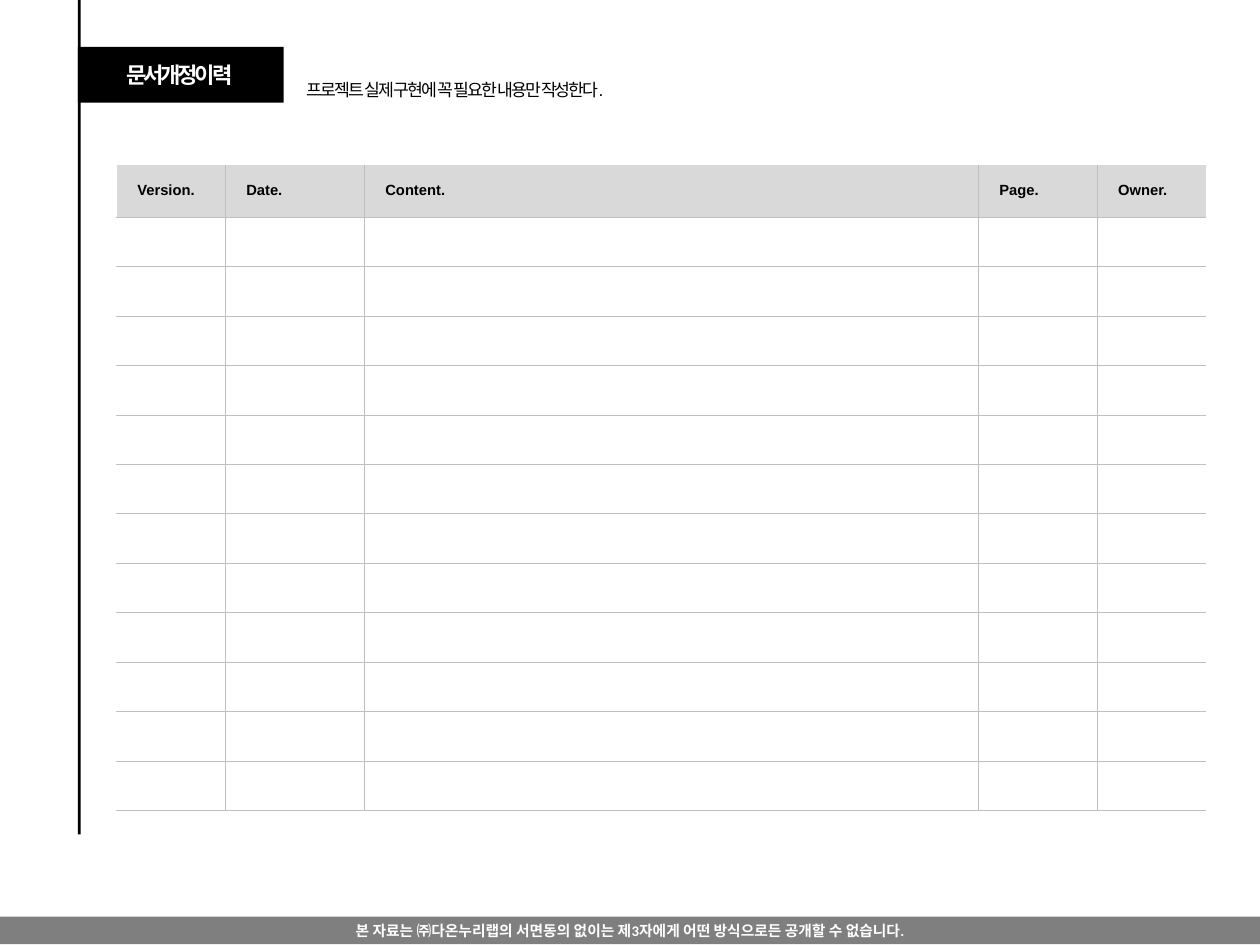
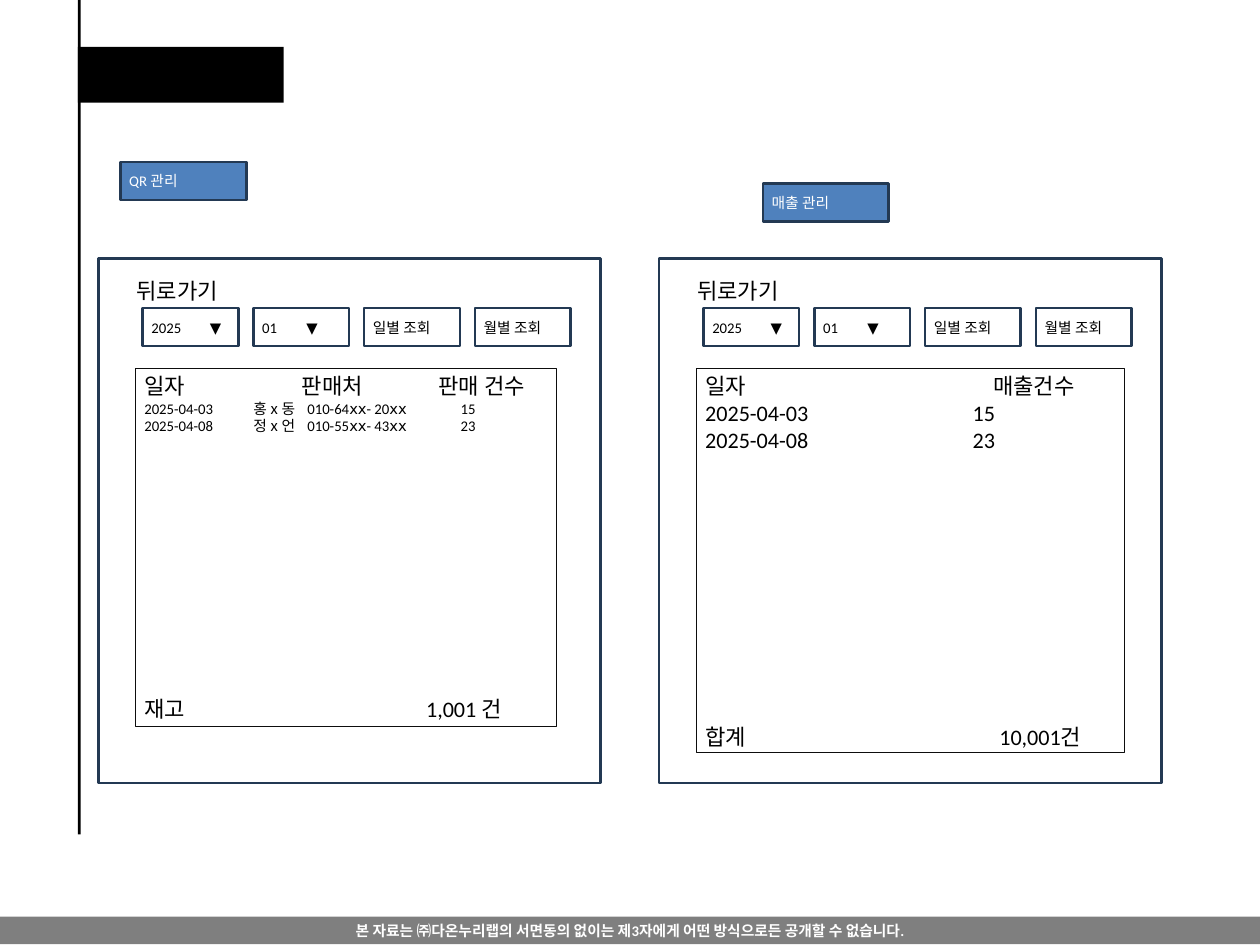
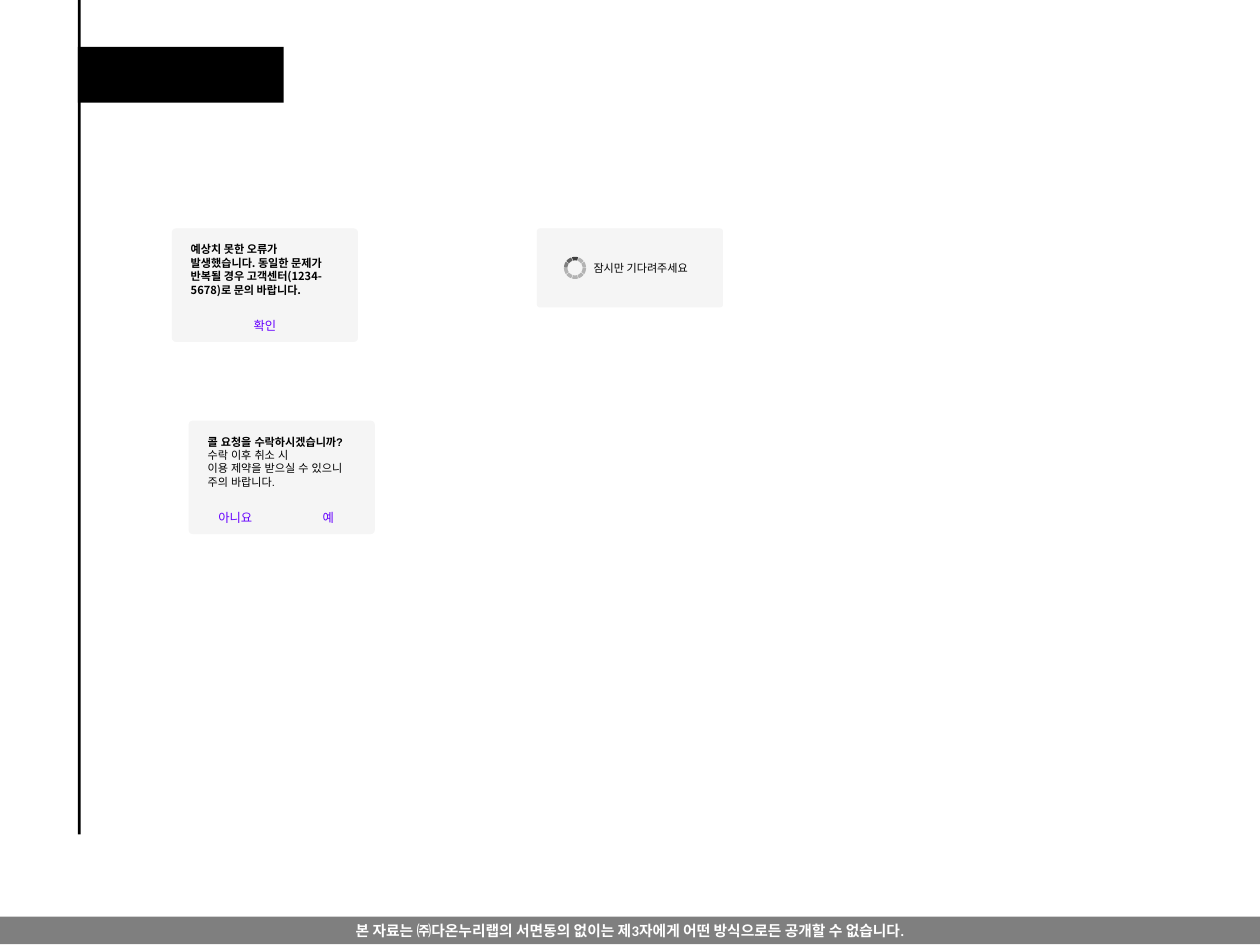
from dataclasses import dataclass
from math import cos, radians, sin

from lxml import etree
from pptx import Presentation
from pptx.dml.color import RGBColor
from pptx.enum.shapes import MSO_SHAPE
from pptx.enum.text import MSO_ANCHOR, MSO_AUTO_SIZE, PP_ALIGN
from pptx.oxml.ns import qn
from pptx.util import Inches, Pt

RECT, ROUNDED = MSO_SHAPE.RECTANGLE, MSO_SHAPE.ROUNDED_RECTANGLE
TOP, MIDDLE, BOTTOM = MSO_ANCHOR.TOP, MSO_ANCHOR.MIDDLE, MSO_ANCHOR.BOTTOM
LEFT, CENTER = PP_ALIGN.LEFT, PP_ALIGN.CENTER
NO_AUTOFIT = MSO_AUTO_SIZE.NONE
TITLE_ONLY, BLANK = 5, 6
PLAIN_INSETS = (0.1, 0.05, 0.1, 0.05)


@dataclass(frozen=True)
class Theme:
    black: str = "000000"
    white: str = "FFFFFF"
    blue: str = "4F81BD"
    navy: str = "233953"
    ink: str = "0D0D0D"
    header: str = "D9D9D9"
    rule: str = "BFBFBF"
    dialog: str = "F4F4F4"
    action: str = "6600FF"
    spinner: tuple = ("404040", "606060", "808080") + ("B3B3B3",) * 7
    sans: str = "Arial"
    screen: str = "Calibri"
    korean: str = "Noto Sans CJK KR"
    button: str = "Cabin"
    large: float = 18
    lead: float = 14
    normal: float = 12
    choice: float = 10
    small: float = 9


THEME = Theme()
SLIDE_W, SLIDE_H = 14.22, 10.67


# Text and shape helpers
def add_span(para, text, size, face, color=THEME.black, bold=False, spacing=0):
    span = para.add_run()
    span.text = text
    font = span.font
    font.size, font.name, font.bold = Pt(size), face, bold
    font.color.rgb = RGBColor.from_string(color)
    properties = span._r.get_or_add_rPr()
    etree.SubElement(properties, qn("a:ea")).set("typeface", face)
    if spacing:
        properties.set("spc", str(round(spacing * 100)))


def set_tabs(para, stops):
    tabs = etree.SubElement(para._p.get_or_add_pPr(), qn("a:tabLst"))
    for stop in stops:
        etree.SubElement(tabs, qn("a:tab"), pos=str(Inches(stop)), algn="l")


def prepare_frame(shape, anchor=MIDDLE, insets=PLAIN_INSETS, align=LEFT):
    frame = shape.text_frame
    frame.word_wrap = True
    frame.auto_size = NO_AUTOFIT
    frame.vertical_anchor = anchor
    (frame.margin_left, frame.margin_top,
     frame.margin_right, frame.margin_bottom) = map(Inches, insets)
    frame.paragraphs[0].alignment = align
    return frame


def set_fill(fill, color, opacity=None):
    if color is None:
        fill.background()
        return
    fill.solid()
    fill.fore_color.rgb = RGBColor.from_string(color)
    if opacity:
        value = next(fill._xPr.iter(qn("a:srgbClr")))
        etree.SubElement(value, qn("a:alpha")).set("val", str(opacity * 1000))


def add_panel(page, box, fill=None, line=None, weight=2, kind=RECT, opacity=None):
    shape = page.shapes.add_shape(kind, *map(Inches, box))
    shape.shadow.inherit = False
    set_fill(shape.fill, fill, opacity)
    if line:
        shape.line.color.rgb = RGBColor.from_string(line)
        shape.line.width = Pt(weight)
    else:
        shape.line.fill.background()
    return shape


def add_label(page, box, text, size, face, color=THEME.black, align=LEFT):
    label = page.shapes.add_textbox(*map(Inches, box))
    para = prepare_frame(label, align=align).paragraphs[0]
    add_span(para, text, size, face, color)


def place_shared_frame(deck, page):
    """Draw the rail, title block and footer once and hand them to the master."""
    footer = add_panel(page, (0, 10.35, SLIDE_W, 0.31), THEME.black, opacity=50)
    notice = prepare_frame(footer, align=CENTER).paragraphs[0]
    add_span(notice, "본 자료는 ㈜다온누리랩의 서면동의 없이는 제3자에게 어떤 방식으로든 공개할 수 없습니다.",
             THEME.normal, THEME.screen, THEME.white, bold=True)
    rail = add_panel(page, (0.88, 0, 0.03, 9.42), THEME.black)
    title_block = add_panel(page, (0.88, 0.53, 2.32, 0.63), THEME.black)
    for number, shape in enumerate((footer, rail, title_block), 101):
        shape.element.xpath(".//p:cNvPr")[0].set("id", str(number))
        deck.slide_master.shapes.element.append(shape.element)


# Revision history
def place_heading(page, title, lead):
    heading = page.shapes.title
    heading.left, heading.top, heading.width, heading.height = map(
        Inches, (0.86, 0.64, 2.33, 0.4))
    para = prepare_frame(heading, align=CENTER).paragraphs[0]
    add_span(para, title, THEME.large, THEME.sans, THEME.white, True, -2.6)

    box = page.shapes.add_textbox(*map(Inches, (3.36, 0.84, 7.67, 0.34)))
    para = prepare_frame(box).paragraphs[0]
    add_span(para, lead, THEME.lead, THEME.korean, spacing=-1.6)
    add_span(para, ".", THEME.lead, THEME.sans)


def set_borders(cell, borders):
    properties = cell._tc.get_or_add_tcPr()
    for side in ("L", "R", "T", "B"):
        color, weight = borders.get(side, (None, 0))
        line = etree.SubElement(properties, qn(f"a:ln{side}"), w=str(Pt(weight)))
        if color:
            solid = etree.SubElement(line, qn("a:solidFill"))
            etree.SubElement(solid, qn("a:srgbClr")).set("val", color)
        else:
            etree.SubElement(line, qn("a:noFill"))


def place_history_table(page, box, columns, row_count):
    left, top, width, height = box
    header_height = 0.59
    row_height = (height - header_height) / row_count
    table = page.shapes.add_table(row_count + 1, len(columns),
                                  *map(Inches, box)).table
    table.horz_banding = table.first_row = False
    thin = (THEME.rule, 0.25)
    for r, row in enumerate(table.rows):
        row.height = Inches(row_height if r else header_height)
        for c, (name, column_width) in enumerate(columns):
            table.columns[c].width = Inches(column_width)
            cell = table.cell(r, c)
            borders = {"L": thin if c else (THEME.white, 1), "B": thin}
            if c < len(columns) - 1:
                borders["R"] = thin
            if r:
                borders["T"] = thin
            set_borders(cell, borders)
            set_fill(cell.fill, None if r else THEME.header)
            if r == 0:
                cell.vertical_anchor = MIDDLE
                cell.margin_left = Inches(0.24)
                add_span(cell.text_frame.paragraphs[0], name,
                         THEME.normal, THEME.sans, bold=True)


# Sales screens
def place_button(page, box, text, fill=None, color=THEME.black, tab=None):
    button = add_panel(page, box, fill, THEME.navy)
    para = prepare_frame(button).paragraphs[0]
    if tab:
        set_tabs(para, [tab])
    add_span(para, text, THEME.normal, THEME.screen, color)


def place_records(page, box, records, total_gap):
    """Each record is (text, size, tab stops); the last one is the total."""
    frame = prepare_frame(add_panel(page, box, None, THEME.ink, 0.75), TOP)
    for index, (text, size, stops) in enumerate(records):
        para = frame.add_paragraph() if index else frame.paragraphs[0]
        para.alignment = LEFT
        set_tabs(para, stops)
        if index == len(records) - 1:
            para.space_before = Pt(total_gap)
        add_span(para, text, size, THEME.screen)


def place_screen(page, box, list_size, records, total_gap):
    left, top = box[:2]
    add_panel(page, box, None, THEME.navy)
    add_label(page, (left + 0.33, top + 0.16, 1.21, 0.4), "뒤로가기",
              THEME.large, THEME.screen)
    filters = (("2025\t▼", 0.66), ("01\t▼", 0.5), ("일별 조회", None), ("월별 조회", None))
    for index, (text, tab) in enumerate(filters):
        place_button(page, (left + 0.5 + 1.25 * index, top + 0.56, 1.08, 0.43),
                     text, tab=tab)
    place_records(page, (left + 0.42, top + 1.24, *list_size), records, total_gap)


# Dialogs
def place_card(page, box):
    card = add_panel(page, box, THEME.dialog, kind=ROUNDED, opacity=90)
    card.adjustments[0] = 0.035
    return card


def place_dialog(page, box, lines, face, choices):
    left, top, width, height = box
    frame = prepare_frame(place_card(page, box), BOTTOM, (0.2, 0.14, 0.2, 0.5))
    for index, (text, bold) in enumerate(lines):
        para = frame.add_paragraph() if index else frame.paragraphs[0]
        para.alignment = LEFT
        para.line_spacing = Pt(10.9)
        add_span(para, text, THEME.small, face, bold=bold)
    choice_width = width / len(choices)
    for index, text in enumerate(choices):
        add_label(page, (left + index * choice_width, top + height - 0.37,
                         choice_width, 0.37),
                  text, THEME.choice, THEME.button, THEME.action, CENTER)


def place_spinner(page, center_x, center_y, outer=0.125, inner=0.085):
    step = 360 / len(THEME.spinner)
    sweep = [-16, -8, 0, 8, 16]
    for index, color in enumerate(THEME.spinner):
        middle = -90 - index * step
        edge = [(outer, a) for a in sweep] + [(inner, a) for a in reversed(sweep)]
        points = [(Inches(center_x + radius * cos(radians(middle + a))),
                   Inches(center_y + radius * sin(radians(middle + a))))
                  for radius, a in edge]
        builder = page.shapes.build_freeform(*points[0])
        builder.add_line_segments(points[1:], close=True)
        segment = builder.convert_to_shape()
        segment.shadow.inherit = False
        set_fill(segment.fill, color)
        segment.line.fill.background()


def place_waiting(page, box, text):
    left, top, width, height = box
    para = prepare_frame(place_card(page, box), insets=(0.63, 0, 0, 0)).paragraphs[0]
    add_span(para, text, THEME.small, THEME.korean)
    place_spinner(page, left + 0.43, top + height / 2)


# Pages
def build_history(deck):
    page = deck.slides.add_slide(deck.slide_layouts[TITLE_ONLY])
    place_shared_frame(deck, page)
    place_heading(page, "문서개정이력", "프로젝트 실제 구현에 꼭 필요한 내용만 작성한다")
    columns = (("Version.", 1.23), ("Date.", 1.57), ("Content.", 6.93),
               ("Page.", 1.34), ("Owner.", 1.23))
    place_history_table(page, (1.31, 1.86, 12.3, 7.29), columns, 12)


def build_sales(deck):
    page = deck.slides.add_slide(deck.slide_layouts[BLANK])
    for left, top, text in ((1.36, 1.83, "QR 관리"), (8.61, 2.07, "매출 관리")):
        place_button(page, (left, top, 1.42, 0.43), text, THEME.blue, THEME.white)

    large, normal = THEME.large, THEME.normal
    sellers = (1.23, 1.84, 3.57)
    stock = (("일자\t판매처\t판매 건수", large, (1.78, 3.32)),
             ("2025-04-03\t홍ⅹ동\t010-64ⅹⅹ- 20ⅹⅹ\t15", normal, sellers),
             ("2025-04-08\t정ⅹ언\t010-55ⅹⅹ- 43ⅹⅹ\t23", normal, sellers),
             ("재고\t1,001 건", large, (3.18,)))
    sales = (("일자\t매출건수", large, (3.25,)),
             ("2025-04-03\t15", large, (3.02,)),
             ("2025-04-08\t23", large, (3.02,)),
             ("합계\t10,001건", large, (3.32,)))
    place_screen(page, (1.11, 2.92, 5.67, 5.92), (4.75, 4.04), stock, 212)
    place_screen(page, (7.44, 2.92, 5.67, 5.92), (4.83, 4.34), sales, 220)


def build_dialogs(deck):
    page = deck.slides.add_slide(deck.slide_layouts[BLANK])
    error = (("예상치 못한 오류가 발생했습니다. 동일한 문제가 반복될 경우 "
              "고객센터(1234-5678)로 문의 바랍니다.", True),)
    request = (("콜 요청을 수락하시겠습니까?", True), ("수락 이후 취소 시", False),
               ("이용 제약을 받으실 수 있으니", False), ("주의 바랍니다.", False))
    place_dialog(page, (1.94, 2.58, 2.1, 1.28), error, THEME.korean, ("확인",))
    place_dialog(page, (2.13, 4.75, 2.1, 1.28), request, THEME.sans, ("아니요", "예"))
    place_waiting(page, (6.06, 2.58, 2.1, 0.89), "잠시만 기다려주세요")


def main():
    deck = Presentation()
    deck.slide_width, deck.slide_height = Inches(SLIDE_W), Inches(SLIDE_H)
    build_history(deck)
    build_sales(deck)
    build_dialogs(deck)
    deck.save("out.pptx")


if __name__ == "__main__":
    main()
